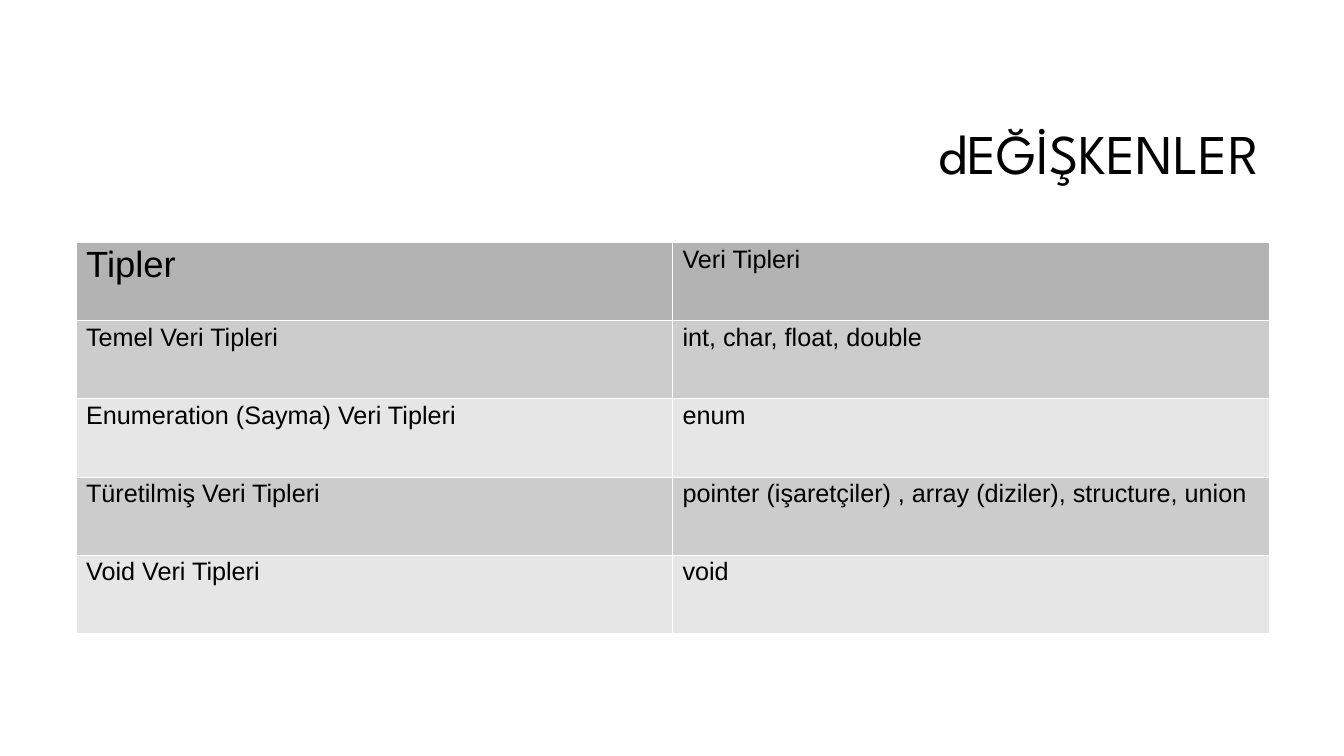
"""Builds the slide on variables with its table of data types."""
from typing import NamedTuple

from lxml import etree
from pptx import Presentation
from pptx.dml.color import RGBColor
from pptx.enum.text import MSO_ANCHOR, PP_ALIGN
from pptx.oxml.ns import qn
from pptx.util import Emu, Pt

RIGHT = PP_ALIGN.RIGHT
MIDDLE = MSO_ANCHOR.MIDDLE
SCALE = 9080
EDGE = 762
COLORS = {
    "text": "000000",
    "line": "FFFFFF",
    "head": "B3B3B3",
    "dark": "CCCCCC",
    "light": "E6E6E6",
}


class Row(NamedTuple):
    kind: str
    types: str
    fill: str
    size: int = 18


ROWS = [
    Row("Tipler", "Veri Tipleri", "head", 26),
    Row("Temel Veri Tipleri", "int, char, float, double", "dark"),
    Row("Enumeration (Sayma) Veri Tipleri", "enum", "light"),
    Row("Türetilmiş Veri Tipleri",
        "pointer (işaretçiler) , array (diziler), structure, union", "dark"),
    Row("Void Veri Tipleri", "void", "light"),
]


def px(count: int) -> Emu:
    return Emu(count * SCALE)


def color(name: str) -> RGBColor:
    return RGBColor.from_string(COLORS[name])


def style(para, face: str, size: int, space: float) -> None:
    para.line_spacing = space
    para.font.name = face
    para.font.size = Pt(size)
    para.font.color.rgb = color("text")


def border(cell) -> None:
    props = cell._tc.get_or_add_tcPr()
    for side in ("lnL", "lnR", "lnT", "lnB"):
        line = etree.SubElement(props, qn(f"a:{side}"), w=str(EDGE))
        fill = etree.SubElement(line, qn("a:solidFill"))
        etree.SubElement(fill, qn("a:srgbClr"), val=COLORS["line"])


def add_title(slide, text: str) -> None:
    title = slide.shapes.title
    title.left, title.top = px(319), px(85)
    title.width, title.height = px(949), px(142)
    frame = title.text_frame
    frame.text = text
    frame.vertical_anchor = MIDDLE
    para = frame.paragraphs[0]
    para.alignment = RIGHT
    style(para, "League Spartan", 40, 0.9)


def add_types(slide, rows: list[Row]) -> None:
    wide, high = 596, 78
    table = slide.shapes.add_table(
        len(rows), 2, px(76), px(242), px(2 * wide), px(high * len(rows))
    ).table
    table.first_row = table.horz_banding = False
    for line, row in zip(table.rows, rows):
        pairs = ((row.kind, row.size), (row.types, 18))
        for cell, (text, size) in zip(line.cells, pairs):
            cell.text = text
            style(cell.text_frame.paragraphs[0], "Arial", size, 0.93)
            border(cell)
            cell.fill.solid()
            cell.fill.fore_color.rgb = color(row.fill)


def main() -> None:
    deck = Presentation()
    deck.slide_width, deck.slide_height = px(1343), px(755)
    slide = deck.slides.add_slide(deck.slide_layouts[5])
    add_title(slide, "dEĞİŞKENLER")
    add_types(slide, ROWS)
    deck.save("out.pptx")


if __name__ == "__main__":
    main()
